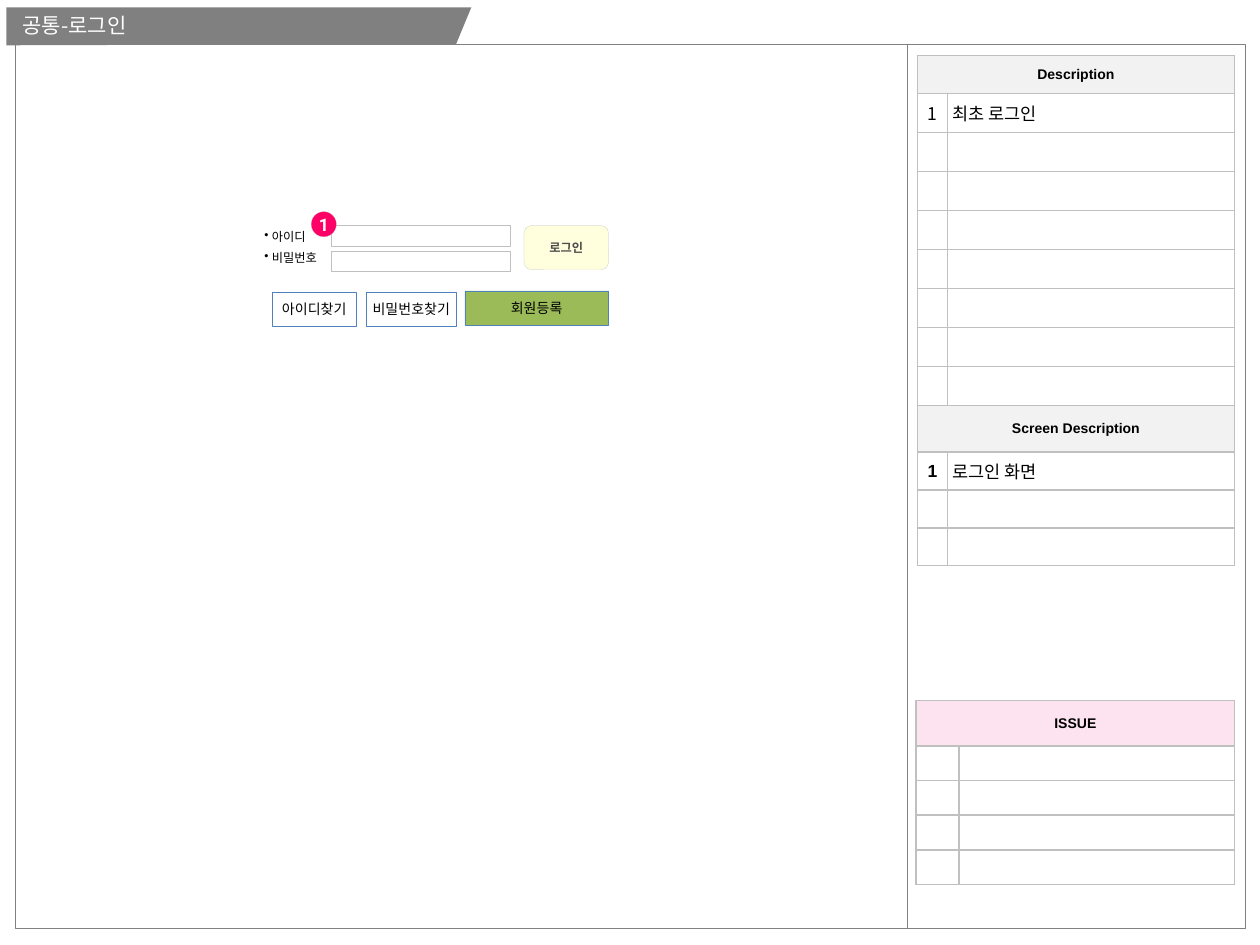
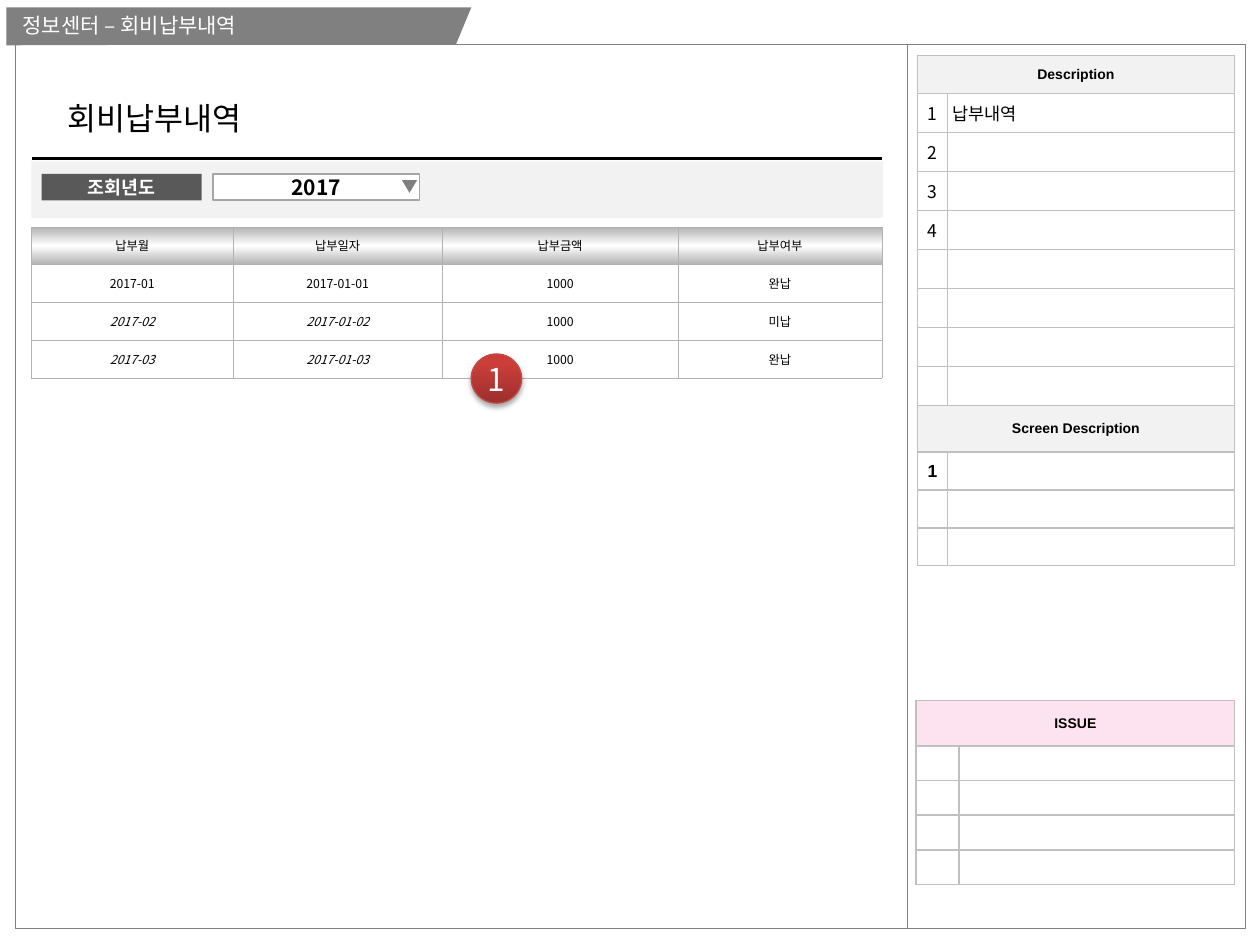
"""Build two wireframe slides: a login screen and a fee payment list."""
import lxml.etree
import pptx
import pptx.dml.color
import pptx.enum.shapes
import pptx.enum.text
import pptx.oxml.ns
import pptx.util

Inches = pptx.util.Inches
Pt = pptx.util.Pt
RGB = pptx.dml.color.RGBColor
KIND = pptx.enum.shapes.MSO_SHAPE
ALIGN = pptx.enum.text.PP_ALIGN
ANCHOR = pptx.enum.text.MSO_ANCHOR
qn = pptx.oxml.ns.qn

BLACK = RGB(0x00, 0x00, 0x00)
WHITE = RGB(0xFF, 0xFF, 0xFF)
GREY = RGB(0x80, 0x80, 0x80)
SILVER = RGB(0xC0, 0xC0, 0xC0)
STEEL = RGB(0xB2, 0xB2, 0xB2)
ASH = RGB(0xA6, 0xA6, 0xA6)
SLATE = RGB(0x59, 0x59, 0x59)
INK = RGB(0x4D, 0x4D, 0x4D)
PALE = RGB(0xF2, 0xF2, 0xF2)
PINK = RGB(0xFD, 0xE3, 0xEF)
CREAM = RGB(0xFF, 0xFF, 0xDD)
GREEN = RGB(0x9B, 0xBB, 0x59)
BLUE = RGB(0x4F, 0x81, 0xBD)
ROSE = RGB(0xFF, 0x00, 0x66)
RED = RGB(0xBF, 0x4C, 0x48)
METAL = [(0, "B2B2B2"), (50, "FFFFFF"), (100, "B2B2B2")]
BALL = [(0, "9C2F2D"), (80, "CB3E3A"), (100, "CE3B37")]

KOREAN = "Noto Sans CJK KR"
HEAD = {"size": Pt(8), "name": "Arial", "bold": True}
BODY = {"size": Pt(10)}
SMALL = {"size": Pt(7)}
FLAT = dict.fromkeys(
    ("margin_left", "margin_right", "margin_top", "margin_bottom"), 0)


def apply(thing, looks):
    """Set every attribute of thing named in looks."""
    for name, value in looks.items():
        setattr(thing, name, value)


def add(parent, tag, **attrs):
    """Append a child element and return it."""
    return lxml.etree.SubElement(parent, qn(tag), **attrs)


def write(para, text, look, color=BLACK, align=ALIGN.CENTER):
    """Put one styled run in a paragraph."""
    para.alignment = align
    run = para.add_run()
    run.text = text
    apply(run.font, {"name": KOREAN, "bold": False, **look})
    run.font.color.rgb = color
    add(run.font._element, "a:ea", typeface=run.font.name)


def blend(owner, node, stops):
    """Fill a shape or cell with a vertical gradient."""
    owner.fill.gradient()
    owner.fill.gradient_angle = 90
    ramp = node.find(".//" + qn("a:gsLst"))
    for old in list(ramp):
        ramp.remove(old)
    for place, color in stops:
        stop = add(ramp, "a:gs", pos=str(place * 1000))
        add(stop, "a:srgbClr", val=color)


def paint(shape, fill=None, line=None, width=0.25):
    """Set the fill and outline of a shape without a shadow."""
    shape.shadow.inherit = False
    if fill is None:
        shape.fill.background()
    else:
        shape.fill.solid()
        shape.fill.fore_color.rgb = fill
    if line is None:
        shape.line.fill.background()
    else:
        shape.line.color.rgb = line
        shape.line.width = Pt(width)


def box(slide, at, fill=None, line=None, width=0.25, kind=KIND.RECTANGLE,
        text="", look=BODY, color=BLACK):
    """Add a preset shape with centred text."""
    shape = slide.shapes.add_shape(kind, *map(Inches, at))
    paint(shape, fill, line, width)
    if text:
        apply(shape.text_frame,
              {"vertical_anchor": ANCHOR.MIDDLE, "word_wrap": False, **FLAT})
        write(shape.text_frame.paragraphs[0], text, look, color)
    return shape


def label(slide, at):
    """Add an empty text box and return its frame."""
    frame = slide.shapes.add_textbox(*map(Inches, at)).text_frame
    frame.word_wrap = True
    return frame


def rule(slide, ends, color, width):
    """Add a straight line."""
    line = slide.shapes.add_connector(
        pptx.enum.shapes.MSO_CONNECTOR.STRAIGHT, *map(Inches, ends))
    line.line.color.rgb = color
    line.line.width = Pt(width)
    add(line._element.spPr, "a:effectLst")


def edge(cell, color, width):
    """Draw the four borders of a cell."""
    props = cell._tc.get_or_add_tcPr()
    for side in ("a:lnL", "a:lnR", "a:lnT", "a:lnB"):
        line = add(props, side, w=str(Pt(width)))
        add(add(line, "a:solidFill"), "a:srgbClr", val=str(color))


def grid(slide, at, cols, rows, line, width):
    """Add a plain white table with borders."""
    table = slide.shapes.add_table(
        len(rows), len(cols), *map(Inches, (*at, sum(cols), sum(rows)))).table
    apply(table, {"first_row": False, "horz_banding": False})
    for col, size in zip(table.columns, cols):
        col.width = Inches(size)
    for row, size in zip(table.rows, rows):
        row.height = Inches(size)
    for cell in table.iter_cells():
        apply(cell, {"vertical_anchor": ANCHOR.MIDDLE, **FLAT})
        edge(cell, line, width)
        cell.fill.solid()
        cell.fill.fore_color.rgb = WHITE
    return table


def banner(table, row, text, fill):
    """Merge a two-column row into a heading."""
    cell = table.cell(row, 0)
    cell.merge(table.cell(row, 1))
    cell.fill.fore_color.rgb = fill
    write(cell.text_frame.paragraphs[0], text, HEAD)


def item(table, row, mark, text="", look=BODY):
    """Fill a numbered row of a side table."""
    write(table.cell(row, 0).text_frame.paragraphs[0], mark, look)
    if text:
        cell = table.cell(row, 1)
        cell.margin_left = Inches(0.04)
        write(cell.text_frame.paragraphs[0], text, BODY, align=ALIGN.LEFT)


def shrink(table):
    """Keep empty cells from stretching their rows."""
    for cell in table.iter_cells():
        for para in cell.text_frame.paragraphs:
            if not para.runs:
                add(para._p, "a:endParaRPr", sz="800")


def frame(deck, title):
    """Add a slide with the page frame, title band and title."""
    slide = deck.slides.add_slide(deck.slide_layouts[5])
    box(slide, (0.12, 0.35, 9.76, 7.02), line=GREY)
    path = slide.shapes.build_freeform(Inches(0.05), Inches(0.06))
    path.add_line_segments(
        [(Inches(x), Inches(y))
         for x, y in ((3.74, 0.06), (3.62, 0.35), (0.05, 0.36))])
    paint(path.convert_to_shape(), GREY)
    rule(slide, (7.2, 0.36, 7.2, 7.37), GREY, 0.75)
    head = slide.shapes.title
    apply(head, {"left": Inches(0.08), "top": Inches(0.05),
                 "width": Inches(2.99), "height": Inches(0.3)})
    apply(head.text_frame, {
        "vertical_anchor": ANCHOR.MIDDLE, "word_wrap": True,
        "auto_size": pptx.enum.text.MSO_AUTO_SIZE.NONE,
        "margin_top": 0, "margin_bottom": 0})
    write(head.text_frame.paragraphs[0], title, {"size": Pt(12)}, WHITE,
          ALIGN.LEFT)
    slide.shapes._spTree.append(head._element)
    return slide


def panel(slide, notes, screen=""):
    """Add the description and issue tables on the right."""
    rows = [0.3] + [0.31] * 8 + [0.37] + [0.3] * 3
    table = grid(slide, (7.28, 0.44), (0.24, 2.28), rows, SILVER, 1)
    banner(table, 0, "Description", PALE)
    for row, text in enumerate(notes, 1):
        item(table, row, str(row), text)
    banner(table, 9, "Screen Description", PALE)
    item(table, 10, "1", screen, {**HEAD, **BODY})
    shrink(table)
    issue = grid(slide, (7.27, 5.56), (0.34, 2.19), [0.36] + [1.1 / 4] * 4,
                 SILVER, 1)
    banner(issue, 0, "ISSUE", PINK)
    shrink(issue)


def login(deck):
    """Build the login slide."""
    slide = frame(deck, "공통-로그인")
    for top in (1.79, 1.99):
        box(slide, (2.63, top, 1.42, 0.16), WHITE, SILVER, 0.1)
    enter = box(slide, (4.16, 1.79, 0.67, 0.35), CREAM, SILVER, 0.1,
                KIND.ROUNDED_RECTANGLE, "로그인", {**SMALL, "bold": True}, INK)
    enter.adjustments[0] = 0.17
    field = label(slide, (2, 1.77, 0.72, 0.42))
    paras = field.paragraphs[0], field.add_paragraph()
    for para, text in zip(paras, ("아이디", "비밀번호")):
        props = para._p.get_or_add_pPr()
        props.set("marL", str(Inches(0.06)))
        props.set("indent", str(-Inches(0.06)))
        add(props, "a:buChar", char="•")
        write(para, text, SMALL, align=ALIGN.LEFT)
    paras[1].space_before = Pt(3.5)
    for at, text, fill in (
            ((2.16, 2.32, 0.67, 0.27), "아이디찾기", WHITE),
            ((2.91, 2.32, 0.71, 0.27), "비밀번호찾기", WHITE),
            ((3.69, 2.31, 1.14, 0.27), "회원등록", GREEN)):
        box(slide, at, fill, BLUE, text=text, look={"size": Pt(8)})
    panel(slide, ["최초 로그인"], "로그인 화면")
    box(slide, (2.47, 1.68, 0.2, 0.2), ROSE, SILVER, 0.1, KIND.OVAL, "1",
        {**BODY, "name": "Roboto", "bold": True}, WHITE)


def fees(deck):
    """Build the fee payment slide."""
    slide = frame(deck, "정보센터 – 회비납부내역")
    panel(slide, ["납부내역", "", "", ""])
    write(label(slide, (0.44, 0.74, 2.2, 0.4)).paragraphs[0], "회비납부내역",
          {"size": Pt(18)}, align=ALIGN.LEFT)
    data = (("납부월", "납부일자", "납부금액", "납부여부"),
            ("2017-01", "2017-01-01", "1000", "완납"),
            ("2017-02", "2017-01-02", "1000", "미납"),
            ("2017-03", "2017-01-03", "1000", "완납"))
    table = grid(slide, (0.25, 1.8), (1.6, 1.66, 1.87, 1.62), [0.3] * 4,
                 STEEL, 0.25)
    for row, texts in enumerate(data):
        for col, text in enumerate(texts):
            cell = table.cell(row, col)
            if row == 0:
                blend(cell, cell._tc, METAL)
            slant = row > 1 and col < 2
            write(cell.text_frame.paragraphs[0], text,
                  {**SMALL, "italic": slant})
    box(slide, (0.25, 1.28, 6.76, 0.45), PALE)
    rule(slide, (0.25, 1.26, 7, 1.26), BLACK, 1.5)
    box(slide, (0.33, 1.38, 1.27, 0.21), SLATE, text="조회년도",
        look={"size": Pt(10.5), "bold": True}, color=WHITE)
    ball = box(slide, (3.74, 2.81, 0.4, 0.39), RED, RED, 0.75, KIND.OVAL, "1",
               {"size": Pt(18)}, WHITE)
    blend(ball, ball._element, BALL)
    shade = add(ball._element.spPr.find(qn("a:effectLst")), "a:outerShdw",
                blurRad=str(Pt(3.1)), dist=str(Pt(1.8)), dir="5400000",
                rotWithShape="0")
    add(add(shade, "a:srgbClr", val="000000"), "a:alpha", val="35000")
    box(slide, (1.69, 1.38, 1.64, 0.21), WHITE, ASH, 1, text="2017",
        look={"size": Pt(12), "bold": True})
    arrow = box(slide, (3.19, 1.43, 0.12, 0.1), GREY,
                kind=KIND.ISOSCELES_TRIANGLE)
    arrow.rotation = 180


def main():
    """Build and save the deck."""
    deck = pptx.Presentation()
    deck.slide_width, deck.slide_height = Inches(10), Inches(7.5)
    login(deck)
    fees(deck)
    deck.save("out.pptx")


if __name__ == "__main__":
    main()
